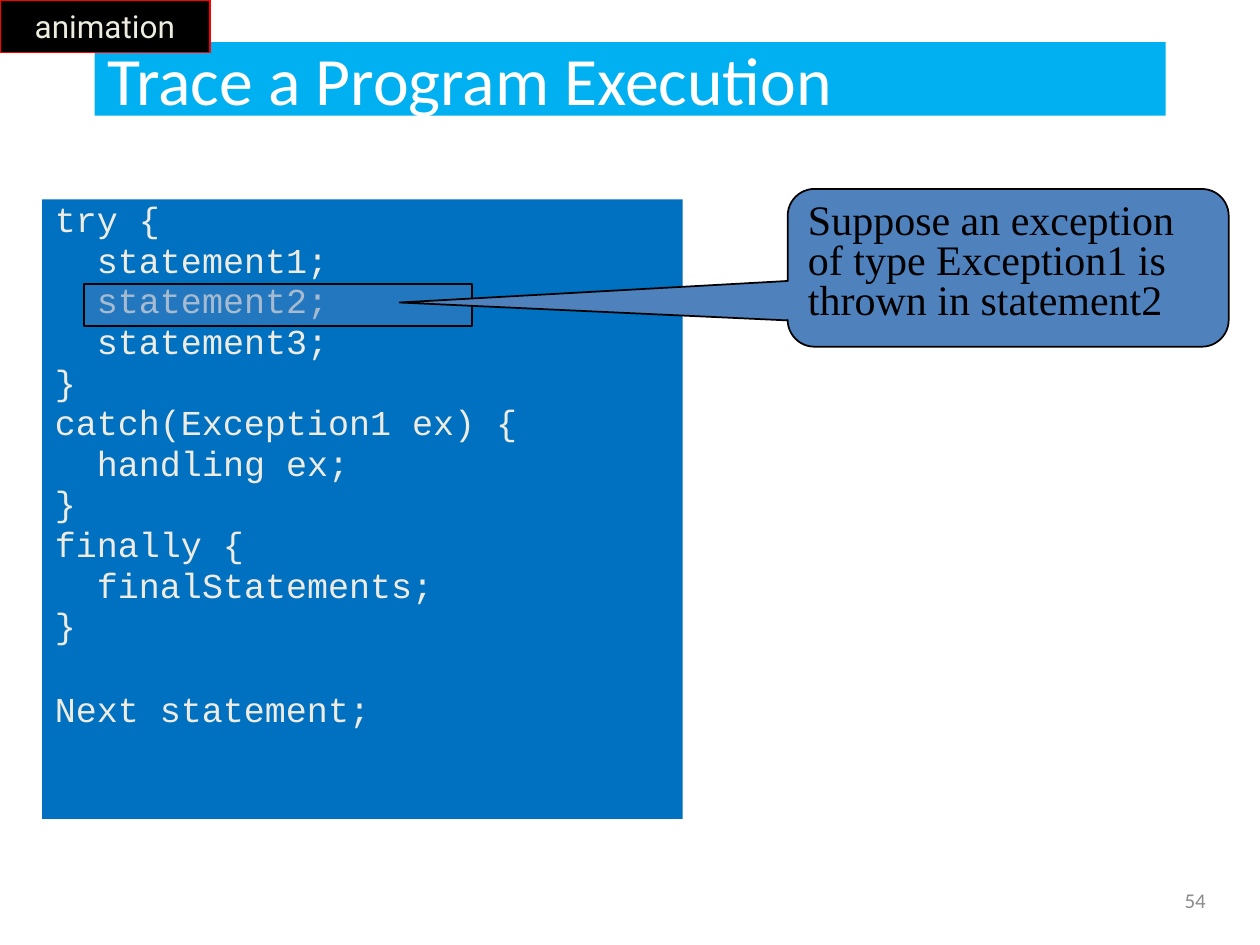
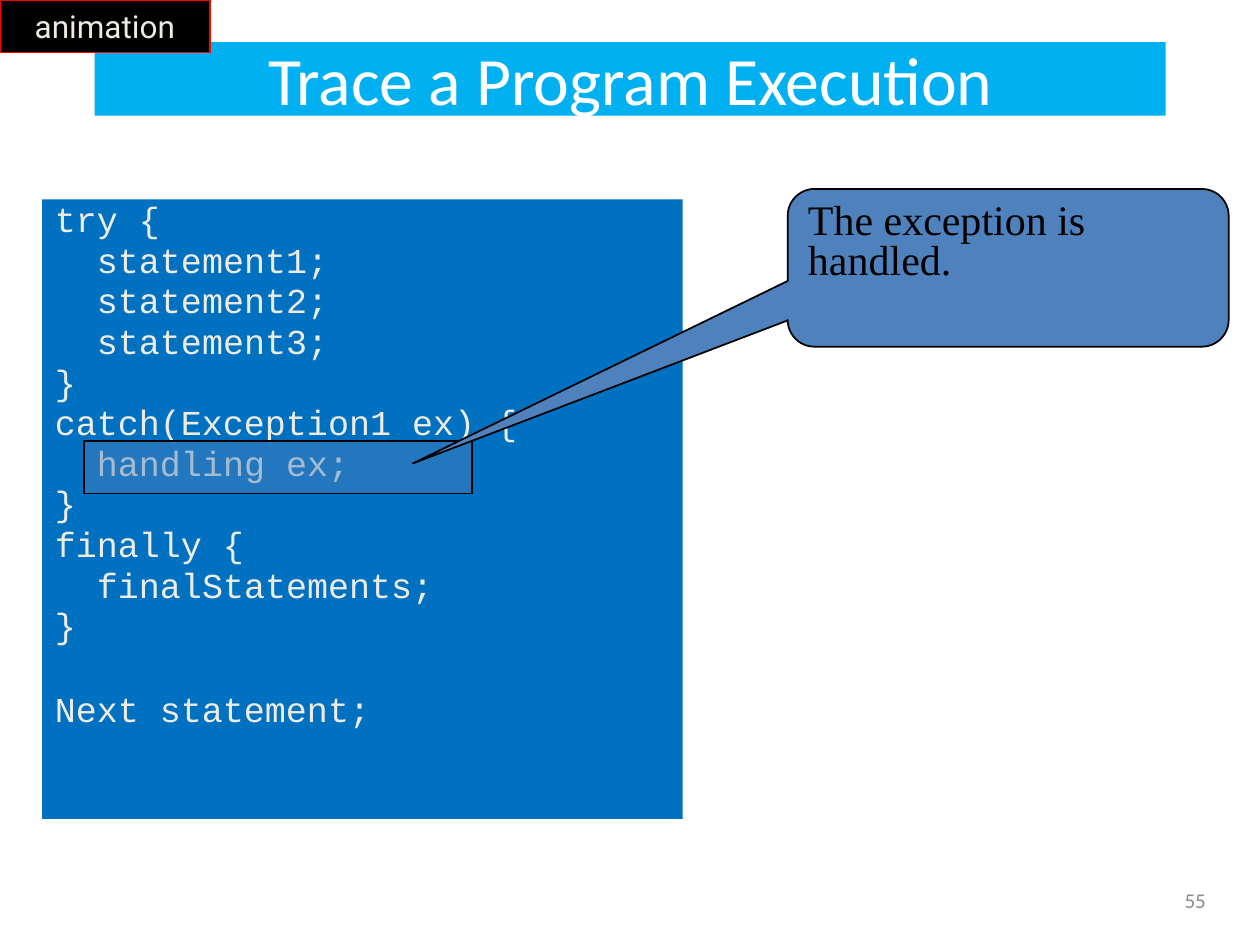
from dataclasses import dataclass

from lxml import etree
from pptx import Presentation
from pptx import util as u
from pptx.dml.color import RGBColor
from pptx.enum import shapes, text
from pptx.oxml.ns import qn

# Shared colours and fonts
BAND, PANEL, CALLOUT = "00B0F0", "0070C0", "4F81BD"
BLACK, WHITE, CREAM, RED, GREY = "000000", "FFFFFF", "EEECE1", "FF0000", "8C8C8C"
CODE_FONT, NOTE_FONT, TAG_FONT, MAIN_FONT = "Courier New", "Times New Roman", "Roboto", "Calibri"

HANG = u.Cm(0.97)        # hanging indent of the code lines
CODE_STEP = u.Cm(0.85)   # width of one code indent level
SECTION_GAP = u.Pt(28.4)  # room above the statement after the try block


@dataclass(frozen=True)
class Box:
    left: float
    top: float
    width: float
    height: float

    def lengths(self) -> tuple:
        return tuple(u.Cm(v) for v in (self.left, self.top, self.width, self.height))


@dataclass(frozen=True)
class CodeLine:
    words: str
    level: int = 0
    gap_above: bool = False


@dataclass(frozen=True)
class TraceStep:
    number: int
    title_align: text.PP_ALIGN
    highlight: Box
    note: str
    tip: tuple[float, float]  # callout tip, relative to the callout's centre


TITLE_BOX = Box(1.91, 0.85, 21.59, 1.48)
CODE_BOX = Box(0.85, 4.02, 12.91, 12.49)
TAG_BOX = Box(0, 0, 4.23, 1.06)
NOTE_BOX = Box(15.88, 3.81, 8.89, 3.18)
NUMBER_BOX = Box(18.63, 17.65, 5.93, 1.01)

CODE = (
    CodeLine("try {"),
    CodeLine("statement1;", 1),
    CodeLine("statement2;", 1),
    CodeLine("statement3;", 1),
    CodeLine("}"),
    CodeLine("catch(Exception1 ex) {"),
    CodeLine("handling ex;", 1),
    CodeLine("}"),
    CodeLine("finally {"),
    CodeLine("finalStatements;", 1),
    CodeLine("}"),
    CodeLine("Next statement;", gap_above=True),
)

STEPS = (
    TraceStep(54, text.PP_ALIGN.LEFT, Box(1.69, 5.72, 7.83, 0.85),
              "Suppose an exception of type Exception1 is thrown in statement2",
              (-1.38, 0.22)),
    TraceStep(55, text.PP_ALIGN.CENTER, Box(1.69, 8.89, 7.83, 1.06),
              "The exception is handled.", (-1.35, 1.24)),
)


# Formatting helpers
def rgb(value: str) -> RGBColor:
    return RGBColor.from_string(value)


def fill(sp, colour: str) -> None:
    sp.fill.solid()
    sp.fill.fore_color.rgb = rgb(colour)


def add_run(p, words: str, font: str, size: float, colour: str) -> None:
    r = p.add_run()
    r.text = words
    r.font.name, r.font.size = font, u.Pt(size)
    r.font.color.rgb = rgb(colour)


def tighten(p) -> None:
    """Set 80% line spacing and a gap above of 20% of a line."""
    p.line_spacing = 0.8
    p.space_before = u.Pt(4)
    before = p._p.pPr.find(qn("a:spcBef"))
    before.remove(before[0])
    etree.SubElement(before, qn("a:spcPct"), val="20000")


def setup_frame(sp, anchor: text.MSO_ANCHOR, wrap: bool = True):
    tf = sp.text_frame
    tf.auto_size = text.MSO_AUTO_SIZE.NONE
    tf.word_wrap, tf.vertical_anchor = wrap, anchor
    return tf


def place(sp, box: Box) -> None:
    sp.left, sp.top, sp.width, sp.height = box.lengths()


def add_panel(slide, kind: shapes.MSO_SHAPE, box: Box, colour: str, line: str):
    sp = slide.shapes.add_shape(kind, *box.lengths())
    sp.shadow.inherit = False
    fill(sp, colour)
    sp.line.color.rgb, sp.line.width = rgb(line), u.Pt(1)
    return sp


# Slide parts
def draw_title(slide, align: text.PP_ALIGN) -> None:
    sp = slide.shapes.title
    place(sp, TITLE_BOX)
    fill(sp, BAND)
    p = setup_frame(sp, text.MSO_ANCHOR.MIDDLE).paragraphs[0]
    p.alignment = align
    add_run(p, "Trace a Program Execution", MAIN_FONT, 38.7, WHITE)


def draw_code(slide) -> None:
    sp = slide.placeholders[1]
    place(sp, CODE_BOX)
    fill(sp, PANEL)
    tf = setup_frame(sp, text.MSO_ANCHOR.TOP)
    for i, line in enumerate(CODE):
        p = tf.add_paragraph() if i else tf.paragraphs[0]
        tighten(p)
        if line.gap_above:
            p.space_before = SECTION_GAP
        pPr = p._p.pPr
        pPr.set("marL", str(HANG + line.level * CODE_STEP))
        pPr.set("indent", str(-HANG))
        etree.SubElement(pPr, qn("a:buNone"))
        add_run(p, line.words, CODE_FONT, 20, CREAM)


def draw_tag(slide) -> None:
    sp = add_panel(slide, shapes.MSO_SHAPE.RECTANGLE, TAG_BOX, BLACK, RED)
    p = setup_frame(sp, text.MSO_ANCHOR.MIDDLE, wrap=False).paragraphs[0]
    p.alignment = text.PP_ALIGN.CENTER
    add_run(p, "animation", TAG_FONT, 18, CREAM)


def draw_highlight(slide, box: Box) -> None:
    sp = add_panel(slide, shapes.MSO_SHAPE.RECTANGLE, box, CALLOUT, BLACK)
    colour = sp._element.spPr.find(f"{qn('a:solidFill')}/{qn('a:srgbClr')}")
    etree.SubElement(colour, qn("a:alpha"), val="45000")


def draw_callout(slide, note: str, tip: tuple[float, float]) -> None:
    sp = add_panel(slide, shapes.MSO_SHAPE.ROUNDED_RECTANGULAR_CALLOUT, NOTE_BOX, CALLOUT, BLACK)
    for i, value in enumerate((*tip, 0.17)):
        sp.adjustments[i] = value
    p = setup_frame(sp, text.MSO_ANCHOR.TOP).paragraphs[0]
    p.alignment = text.PP_ALIGN.LEFT
    tighten(p)
    add_run(p, note, NOTE_FONT, 24, BLACK)


def draw_number(slide, number: int) -> None:
    sp = slide.shapes.add_textbox(*NUMBER_BOX.lengths())
    p = setup_frame(sp, text.MSO_ANCHOR.MIDDLE).paragraphs[0]
    p.alignment = text.PP_ALIGN.RIGHT
    add_run(p, str(number), MAIN_FONT, 12, GREY)


def main() -> None:
    prs = Presentation()
    prs.slide_width, prs.slide_height = u.Cm(25.4), u.Cm(19.05)
    for step in STEPS:
        slide = prs.slides.add_slide(prs.slide_layouts[1])
        draw_title(slide, step.title_align)
        draw_code(slide)
        draw_tag(slide)
        draw_highlight(slide, step.highlight)
        draw_callout(slide, step.note, step.tip)
        draw_number(slide, step.number)
    prs.save("out.pptx")


if __name__ == "__main__":
    main()
